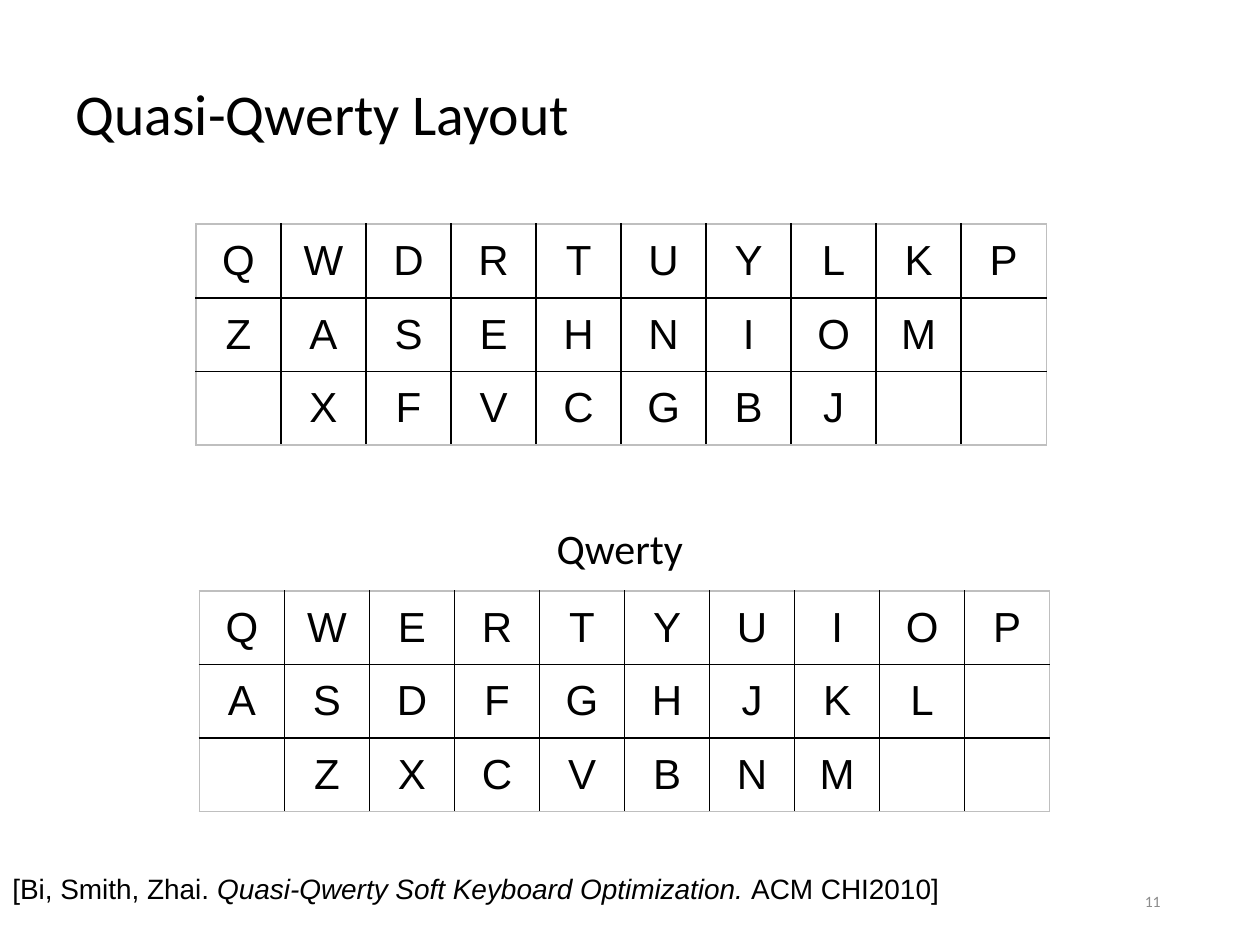
from lxml import etree
from pptx import Presentation
from pptx.dml.color import RGBColor
from pptx.enum.text import MSO_ANCHOR, MSO_AUTO_SIZE, PP_ALIGN
from pptx.oxml.ns import qn
from pptx.util import Cm, Pt

LEFT, CENTER, RIGHT = PP_ALIGN.LEFT, PP_ALIGN.CENTER, PP_ALIGN.RIGHT
TOP, MIDDLE = MSO_ANCHOR.TOP, MSO_ANCHOR.MIDDLE
NO_FIT, GROW = MSO_AUTO_SIZE.NONE, MSO_AUTO_SIZE.SHAPE_TO_FIT_TEXT
TITLE_ONLY = 5

COLORS = {"ink": "000000", "frame": "BFBFBF", "number": "8C8C8C", "paper": "FFFFFF"}
COLUMNS = 10

# Keys of each row; a space is an empty cell
QUASI_QWERTY = ["QWDRTUYLKP", "ZASEHNIOM ", " XFVCGBJ  "]
QWERTY = ["QWERTYUIOP", "ASDFGHJKL ", " ZXCVBNM  "]


def style(para, font_name, size, color="ink", align=LEFT):
    para.alignment = align
    para.font.name = font_name
    para.font.size = Pt(size)
    para.font.color.rgb = RGBColor.from_string(COLORS[color])


def add_title(page, box, text):
    title = page.shapes.title
    title.left, title.top, title.width, title.height = (Cm(n) for n in box)
    frame = title.text_frame
    frame.text = text
    frame.vertical_anchor = MIDDLE
    frame.auto_size = NO_FIT
    para = frame.paragraphs[0]
    para.line_spacing = 0.9
    style(para, "Calibri", 33)


def add_label(page, box, spans, font_name, size, color="ink", align=LEFT,
              anchor=TOP, wrap=False):
    """Place one line of text; spans are (text, italic) pairs."""
    frame = page.shapes.add_textbox(*(Cm(n) for n in box)).text_frame
    frame.word_wrap = wrap
    frame.auto_size = NO_FIT if wrap else GROW
    frame.vertical_anchor = anchor
    para = frame.paragraphs[0]
    for text, italic in spans:
        span = para.add_run()
        span.text = text
        if italic:
            span.font.italic = True
    style(para, font_name, size, color, align)


def set_borders(cell, sides):
    """Draw cell edges; sides maps L, R, T, B, in that order, to a colour."""
    properties = cell._tc.get_or_add_tcPr()
    for index, (side, color) in enumerate(sides.items()):
        line = etree.Element(qn(f"a:ln{side}"), w=str(Pt(1)))
        fill = etree.SubElement(line, qn("a:solidFill"))
        etree.SubElement(fill, qn("a:srgbClr"), val=COLORS[color])
        properties.insert(index, line)


def add_keyboard(page, box, rows):
    left, top, width, height = (Cm(n) for n in box)
    table = page.shapes.add_table(len(rows), COLUMNS, left, top, width, height).table
    table.first_row = table.horz_banding = False
    last_row, last_column = len(rows) - 1, COLUMNS - 1
    for r, keys in enumerate(rows):
        for c, key in enumerate(keys):
            cell = table.cell(r, c)
            cell.text = key.strip()
            cell.vertical_anchor = MIDDLE
            cell.fill.solid()
            cell.fill.fore_color.rgb = RGBColor.from_string(COLORS["paper"])
            style(cell.text_frame.paragraphs[0], "Arial", 24, align=CENTER)
            # Light outer frame, dark inner grid
            outer = {"L": c == 0, "R": c == last_column, "T": r == 0, "B": r == last_row}
            set_borders(cell, {side: "frame" if edge else "ink"
                               for side, edge in outer.items()})


def main():
    deck = Presentation()
    deck.slide_width, deck.slide_height = Cm(25.4), Cm(19.05)
    page = deck.slides.add_slide(deck.slide_layouts[TITLE_ONLY])

    add_title(page, (1.27, 0.76, 22.86, 3.18), "Quasi-Qwerty Layout")

    # Citation and page number
    citation = [("[Bi, Smith, Zhai. ", False),
                ("Quasi-Qwerty Soft Keyboard Optimization. ", True),
                ("ACM CHI2010]", False)]
    add_label(page, (0, 17.45, 19.51, 0.94), citation, "Arial", 16)
    add_label(page, (17.93, 17.65, 5.72, 1.02), [("11", False)], "Calibri", 9,
              "number", RIGHT, MIDDLE, wrap=True)

    # Keyboards
    add_keyboard(page, (3.95, 4.52, 17.15, 4.45), QUASI_QWERTY)
    add_keyboard(page, (4.02, 11.91, 17.15, 4.45), QWERTY)
    add_label(page, (10.97, 10.41, 3.1, 1.27), [("Qwerty", False)], "Calibri", 24)

    deck.save("out.pptx")


if __name__ == "__main__":
    main()
